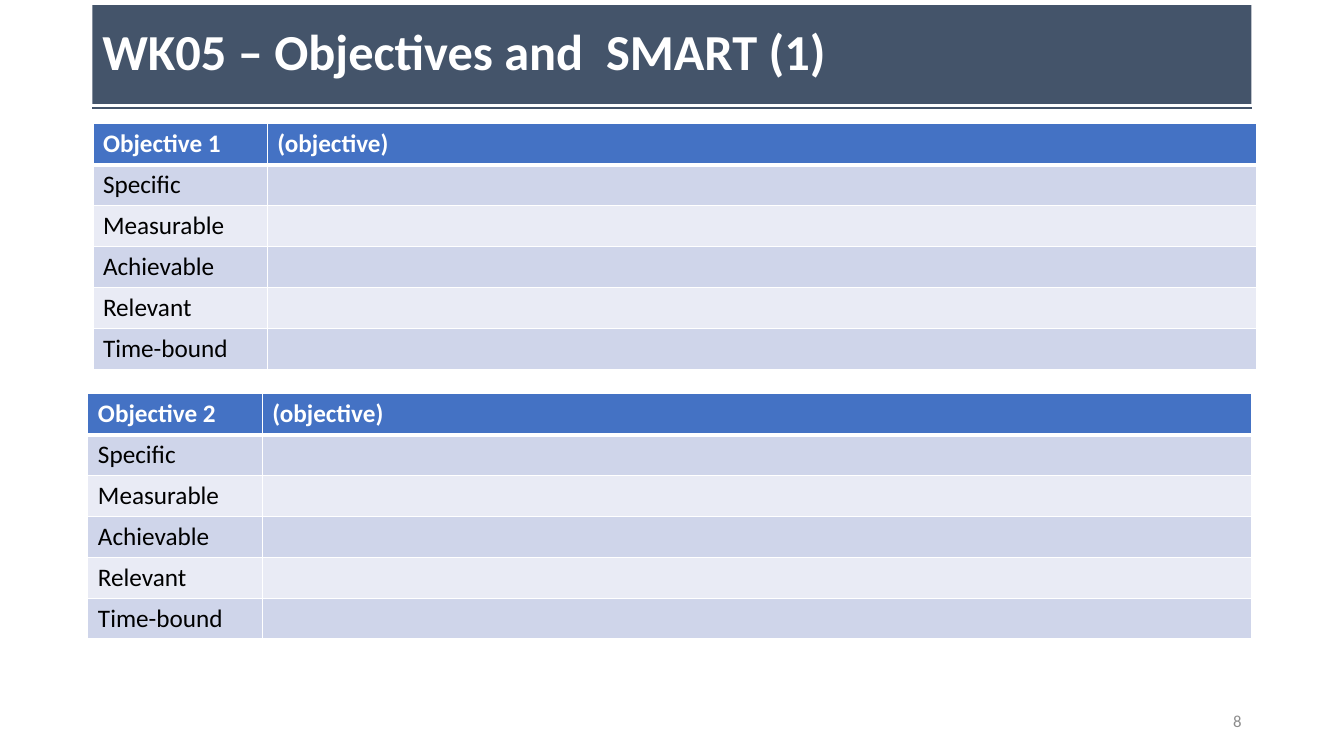
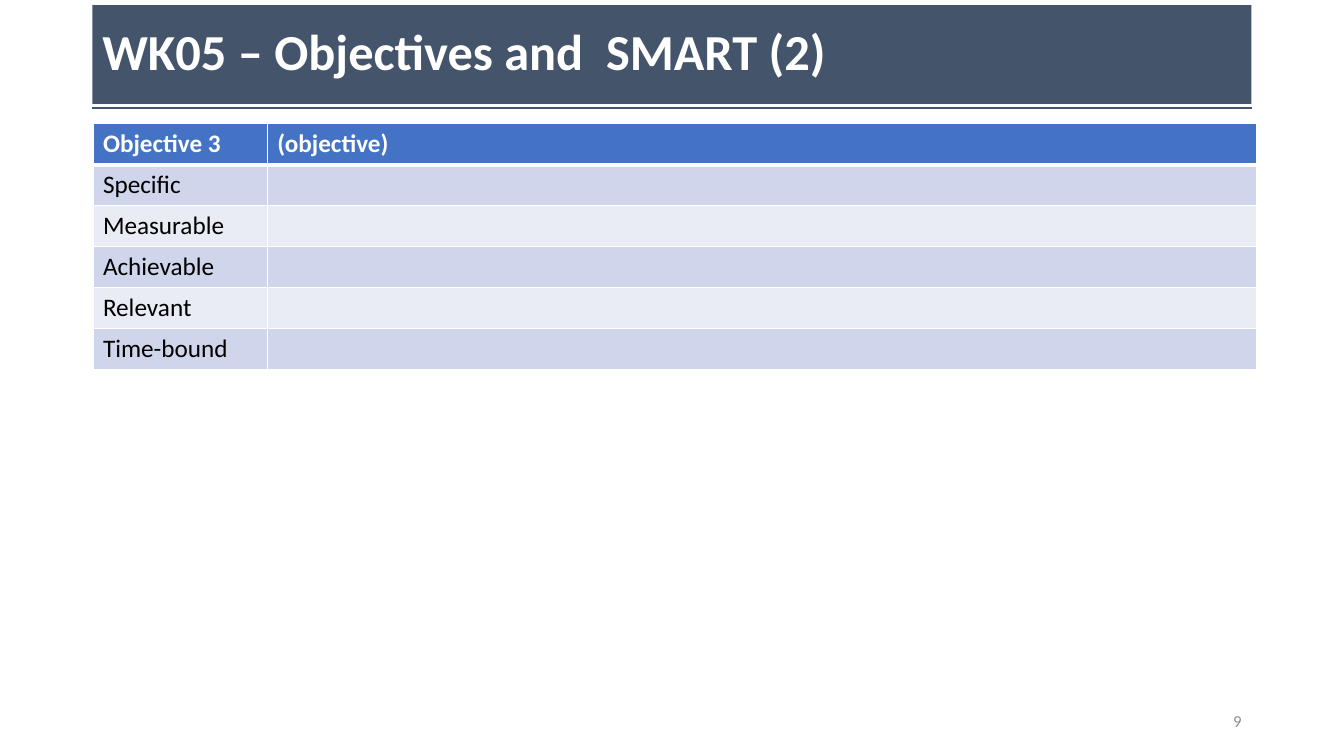
from dataclasses import dataclass

from lxml.etree import SubElement
from pptx import Presentation
from pptx.dml.color import RGBColor as Rgb
from pptx.enum.shapes import MSO_CONNECTOR as Connector, MSO_SHAPE as Shape
from pptx.enum.text import MSO_ANCHOR as Anchor, PP_ALIGN as Align
from pptx.oxml.ns import qn
from pptx.util import Pt


@dataclass(frozen=True)
class Theme:
    """Hold the colours, typeface and type sizes of the deck."""

    font: str = "Calibri"
    slate: str = "44546A"
    blue: str = "4472C4"
    bands: tuple = ("CFD5EA", "E9EBF5")
    white: str = "FFFFFF"
    black: str = "000000"
    grey: str = "8C8C8C"
    title_size: int = 36
    table_size: int = 18
    number_size: int = 12


THEME = Theme()
LEFT, WIDTH = 66, 828
ROW_HEIGHT = 29.2
COLUMN_WIDTHS = (124.6, 706.3)
CRITERIA = ("Specific", "Measurable", "Achievable", "Relevant", "Time-bound")
UPPER, LOWER = (66.4, 88.5), (62.8, 281.3)
FIRST_NUMBER = 8
SLIDES = (
    ("WK05 – Objectives and  SMART (1)", (("Objective 1", UPPER), ("Objective 2", LOWER))),
    ("WK05 – Objectives and  SMART (2)", (("Objective 3", UPPER),)),
)


def points(*lengths):
    """Convert numbers to point lengths."""
    return [Pt(length) for length in lengths]


def apply(target, formats):
    """Set each format value on the target."""
    for attribute, value in formats.items():
        setattr(target, attribute, value)


def write(frame, text, size, colour, bold=False, **paragraph_formats):
    """Write one styled paragraph into a text frame."""
    paragraph = frame.paragraphs[0]
    apply(paragraph, paragraph_formats)
    run = paragraph.add_run()
    run.text = text
    apply(run.font, {"name": THEME.font, "size": Pt(size), "bold": bold})
    run.font.color.rgb = Rgb.from_string(colour)


def paint(fill, colour):
    """Give a fill one solid colour."""
    fill.solid()
    fill.fore_color.rgb = Rgb.from_string(colour)


def add_title(slide, text):
    """Add the title band and the rule beneath it."""
    rule = slide.shapes.add_connector(Connector.STRAIGHT, *points(LEFT, 77, LEFT + WIDTH, 77))
    rule.line.width = Pt(1.5)
    rule.line.color.rgb = Rgb.from_string(THEME.slate)
    SubElement(rule._element.spPr, qn("a:effectLst"))

    band = slide.shapes.add_shape(Shape.RECTANGLE, *points(LEFT, 3.6, WIDTH, 70.6))
    band.shadow.inherit = False
    band.line.fill.background()
    paint(band.fill, THEME.slate)
    apply(band.text_frame, {"word_wrap": True, "vertical_anchor": Anchor.MIDDLE})
    write(band.text_frame, text, THEME.title_size, THEME.white, True,
          alignment=Align.LEFT, line_spacing=0.9)


def add_number(slide, number):
    """Add the slide number at the lower right."""
    frame = slide.shapes.add_textbox(*points(678, 500.5, 216, 28.8)).text_frame
    apply(frame, {"word_wrap": True, "vertical_anchor": Anchor.MIDDLE})
    write(frame, str(number), THEME.number_size, THEME.grey, alignment=Align.RIGHT)


def add_borders(cell, widths):
    """Draw white borders of the given widths around a cell."""
    properties = cell._tc.get_or_add_tcPr()
    for side, width in widths.items():
        border = SubElement(properties, qn(f"a:ln{side}"), w=str(Pt(width)))
        fill = SubElement(border, qn("a:solidFill"))
        SubElement(fill, qn("a:srgbClr"), val=THEME.white)


def add_objective(slide, heading, position):
    """Add the table that checks one objective against the SMART criteria."""
    rows = [(heading, "(objective)"), *((criterion, "") for criterion in CRITERIA)]
    size = (sum(COLUMN_WIDTHS), ROW_HEIGHT * len(rows))
    table = slide.shapes.add_table(
        len(rows), len(COLUMN_WIDTHS), *points(*position, *size)).table
    for column, width in zip(table.columns, COLUMN_WIDTHS):
        column.width = Pt(width)
    for index, labels in enumerate(rows):
        table.rows[index].height = Pt(ROW_HEIGHT)
        is_header = index == 0
        colour = THEME.blue if is_header else THEME.bands[(index - 1) % 2]
        ink = THEME.white if is_header else THEME.black
        widths = {"L": 1, "R": 1, "T": 3 if index == 1 else 1, "B": 3 if is_header else 1}
        for cell, label in zip(table.rows[index].cells, labels):
            add_borders(cell, widths)
            paint(cell.fill, colour)
            if label:
                write(cell.text_frame, label, THEME.table_size, ink, is_header)


def main():
    """Build and save the deck."""
    deck = Presentation()
    apply(deck, {"slide_width": Pt(960), "slide_height": Pt(540)})
    for number, (title, objectives) in enumerate(SLIDES, FIRST_NUMBER):
        slide = deck.slides.add_slide(deck.slide_layouts[6])
        add_title(slide, title)
        add_number(slide, number)
        for heading, position in objectives:
            add_objective(slide, heading, position)
    deck.save("out.pptx")


if __name__ == "__main__":
    main()
